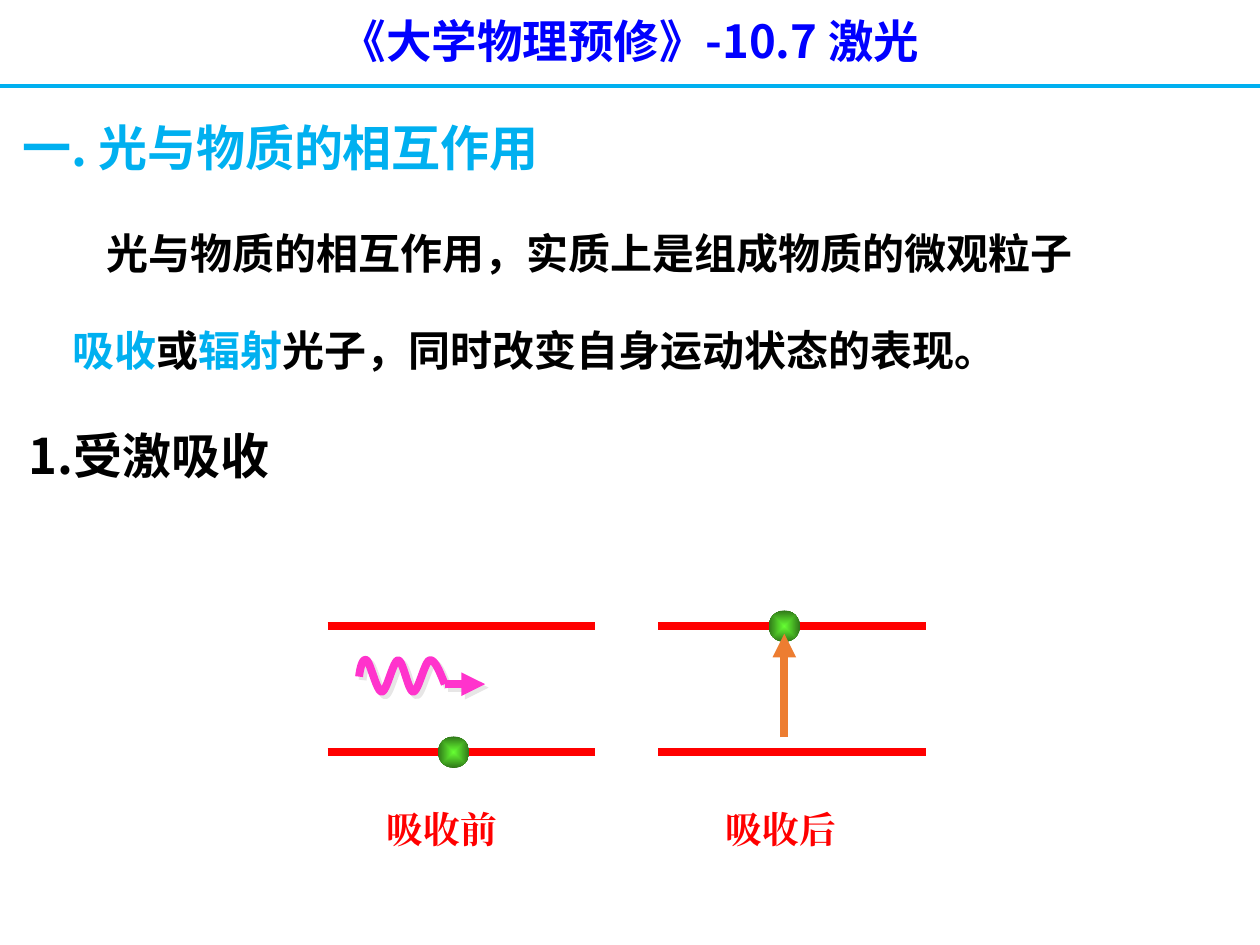
from pptx import Presentation
from pptx.dml.color import RGBColor
from pptx.enum.shapes import MSO_CONNECTOR, MSO_SHAPE
from pptx.enum.text import MSO_ANCHOR, MSO_AUTO_SIZE, PP_ALIGN
from pptx.oxml import parse_xml
from pptx.oxml.ns import nsdecls, qn
from pptx.util import Inches, Pt

STRAIGHT = MSO_CONNECTOR.STRAIGHT
OVAL = MSO_SHAPE.OVAL
TOP = MSO_ANCHOR.TOP
GROW = MSO_AUTO_SIZE.SHAPE_TO_FIT_TEXT
LEFT, CENTER = PP_ALIGN.LEFT, PP_ALIGN.CENTER

BLACK = RGBColor(0x00, 0x00, 0x00)
BLUE = RGBColor(0x00, 0x00, 0xFF)
SKY = RGBColor(0x00, 0xB0, 0xF0)
RED = RGBColor(0xFF, 0x00, 0x00)
PINK = RGBColor(0xFF, 0x33, 0xCC)
ORANGE = RGBColor(0xED, 0x7D, 0x31)
GREEN = RGBColor(0x66, 0xFF, 0x33)
DARK_GREEN = RGBColor(0x2F, 0x76, 0x18)
SHADOW = RGBColor(0xE7, 0xE6, 0xE6)

SANS = "Noto Sans CJK SC"
SERIF = "Times New Roman"

WIDTH, HEIGHT = Inches(10), Inches(7.5)
COLUMNS, ROWS = 100, 75


def x(columns):
    return round(WIDTH * columns / COLUMNS)


def y(rows):
    return round(HEIGHT * rows / ROWS)


def bezier(start, control_1, control_2, end, steps=12):
    """Points along a cubic curve, without its start."""
    for step in range(1, steps + 1):
        t = step / steps
        weights = ((1 - t) ** 3, 3 * t * (1 - t) ** 2, 3 * t * t * (1 - t), t ** 3)
        yield tuple(
            sum(weight * value for weight, value in zip(weights, axis))
            for axis in zip(start, control_1, control_2, end)
        )


class LectureSlide:
    """Bold text and thick lines, placed on a grid of 100 columns by 75 rows."""

    def __init__(self, presentation):
        self.slide = presentation.slides.add_slide(presentation.slide_layouts[5])
        self.shapes = self.slide.shapes

    def fill_text(self, box, paragraphs, size, font=SANS, align=LEFT,
                  spacing=None, gap=0, indent=0):
        """Fill a box with paragraphs, each a list of (text, colour) runs."""
        frame = box.text_frame
        frame.word_wrap = True
        frame.auto_size = GROW
        frame.vertical_anchor = TOP
        for number, runs in enumerate(paragraphs):
            paragraph = frame.add_paragraph() if number else frame.paragraphs[0]
            paragraph.alignment = align
            if spacing:
                paragraph.line_spacing = spacing
            if number:
                paragraph.space_before = Pt(gap)
            elif indent:
                properties = paragraph._p.get_or_add_pPr()
                properties.set("marL", "0")
                properties.set("indent", str(x(indent)))
            for text, color in runs:
                run = paragraph.add_run()
                run.text = text
                run.font.size = Pt(size)
                run.font.bold = True
                run.font.name = font
                run.font.color.rgb = color
                run._r.get_or_add_rPr().find(qn("a:latin")).addnext(
                    parse_xml(f'<a:ea {nsdecls("a")} typeface="{font}"/>'))

    def title(self, text, left, top, width, height):
        heading = self.shapes.title
        heading.left, heading.top = x(left), y(top)
        heading.width, heading.height = x(width), y(height)
        self.fill_text(heading, [[(text, BLUE)]], 26, align=CENTER)

    def text(self, paragraphs, left, top, width, height, size, **style):
        box = self.shapes.add_textbox(x(left), y(top), x(width), y(height))
        self.fill_text(box, paragraphs, size, **style)

    def effects(self, shape, shadow):
        """Replace the theme's shadow with none or with a crisp grey one."""
        cast = (f'<a:outerShdw blurRad="0" dist="{Pt(2.8)}" dir="2700000" algn="ctr">'
                f'<a:srgbClr val="{SHADOW}"/></a:outerShdw>') if shadow else ""
        shape._element.spPr.append(
            parse_xml(f'<a:effectLst {nsdecls("a")}>{cast}</a:effectLst>'))

    def line(self, start, end, color, weight=4.5, arrow=False, shadow=False):
        line = self.shapes.add_connector(
            STRAIGHT, x(start[0]), y(start[1]), x(end[0]), y(end[1]))
        line.line.color.rgb = color
        line.line.width = Pt(weight)
        if arrow:
            line.line._get_or_add_ln().append(
                parse_xml(f'<a:tailEnd {nsdecls("a")} type="triangle"/>'))
        self.effects(line, shadow)

    def wave(self, start, curves, color):
        builder = self.shapes.build_freeform(x(start[0]), y(start[1]))
        points = []
        for control_1, control_2, end in curves:
            points += bezier(start, control_1, control_2, end)
            start = end
        builder.add_line_segments([(x(px), y(py)) for px, py in points], close=False)
        wave = builder.convert_to_shape()
        wave.fill.background()
        wave.line.color.rgb = color
        wave.line.width = Pt(4.5)
        self.effects(wave, shadow=True)

    def particle(self, center_x, center_y, size=2.5):
        ball = self.shapes.add_shape(
            OVAL, x(center_x - size / 2), y(center_y - size / 2), x(size), y(size))
        ball.shadow.inherit = False
        ball.line.fill.background()
        ball.fill.gradient()
        for stop, color in zip(ball.fill.gradient_stops, (GREEN, DARK_GREEN)):
            stop.color.rgb = color
        gradient = ball._element.spPr.find(qn("a:gradFill"))
        gradient.replace(gradient.find(qn("a:lin")), parse_xml(
            f'<a:path {nsdecls("a")} path="shape">'
            '<a:fillToRect l="50000" t="50000" r="50000" b="50000"/></a:path>'))

    def energy_levels(self, left, upper, lower, label, label_left):
        for level in (upper, lower):
            self.line((left, level), (left + 21.25, level), RED)
        self.text([[(label, RED)]], label_left, 63.5, 18.8, 4.5, 21, font=SERIF)


def main():
    presentation = Presentation()
    presentation.slide_width, presentation.slide_height = WIDTH, HEIGHT
    page = LectureSlide(presentation)

    page.title("《大学物理预修》-10.7 激光", 12.5, 0.5, 75, 5.4)
    page.line((0, 6.8), (COLUMNS, 6.8), SKY, weight=2.25)
    page.text([[("一. 光与物质的相互作用", SKY)]], 0.8, 8.8, 46.2, 5.7, 28)
    page.text([
        [("光与物质的相互作用，实质上是组成物质的微观粒子", BLACK)],
        [("吸收", SKY), ("或", BLACK), ("辐射", SKY),
         ("光子，同时改变自身运动状态的表现。", BLACK)],
    ], 4.8, 15.6, 90.4, 15.1, 24, spacing=1.5, gap=12, indent=2.65)
    page.text([[("1.受激吸收", BLACK)]], 1.3, 33.3, 28.4, 5.7, 28)

    upper, lower = 49.7, 59.7
    before, after = 26, 52.25
    to_particle = 10

    page.energy_levels(before, upper, lower, "吸收前", 29.7)
    page.particle(before + to_particle, lower)
    crest, trough = 52.4, 54.9
    photon_end = (35.3, 54.3)
    page.wave((28.5, 53.7), [
        ((28.6, 52.9), (28.8, 52.2), (29.1, crest)),
        ((29.4, 52.6), (29.9, trough), (30.3, trough)),
        ((30.7, trough), (31.2, crest), (31.6, crest)),
        ((32, crest), (32.4, trough), (32.8, trough)),
        ((33.2, trough), (33.7, 52.5), (34.1, crest)),
        ((34.5, 52.3), (34.9, 53.3), photon_end),
    ], PINK)
    page.line(photon_end, (38.5, 54.3), PINK, arrow=True, shadow=True)

    page.energy_levels(after, upper, lower, "吸收后", 56.6)
    page.particle(after + to_particle, upper)
    page.line((after + to_particle, 58.5), (after + to_particle, 50.3), ORANGE, arrow=True)

    presentation.save("out.pptx")


if __name__ == "__main__":
    main()
